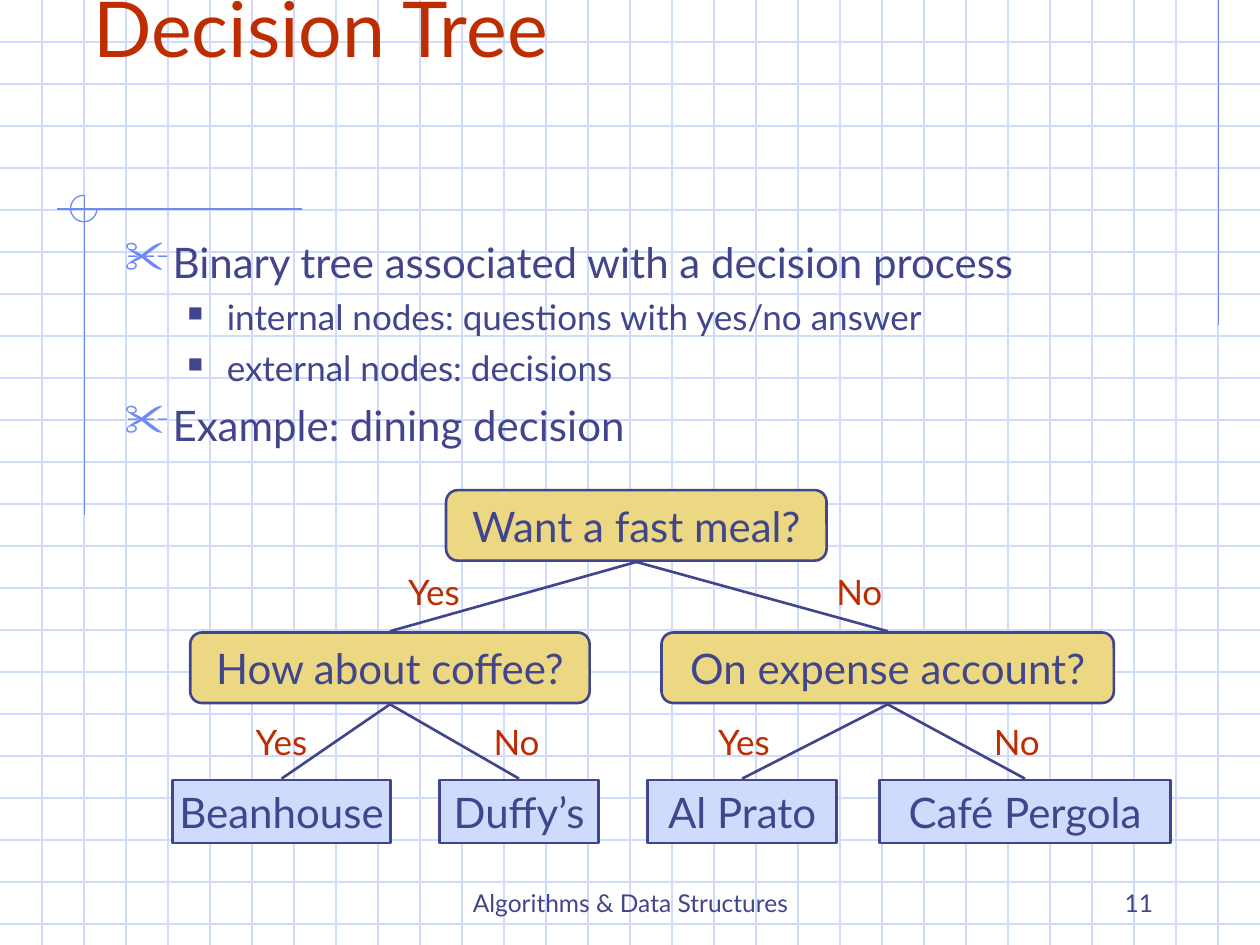
from lxml import etree
from pptx import Presentation, dml, util as u
from pptx.dml import color
from pptx.enum import shapes, text
from pptx.oxml import ns

KIND = shapes.MSO_SHAPE
ALIGN = text.PP_ALIGN
ANCHOR = text.MSO_ANCHOR


def rgb(code):
    return color.RGBColor.from_string(code)


class Deck:
    font = "Lato"
    ink = "40458C"
    red = "BE2D00"
    grid = "CFDBFD"
    blue = "6F89F7"
    gold = "ECD882"

    def __init__(self, show):
        self.slide = show.slides.add_slide(show.slide_layouts[6])
        self.items = self.slide.shapes

    def line(self, x1, y1, x2, y2, tint, width=0.75):
        link = self.items.add_connector(
            shapes.MSO_CONNECTOR.STRAIGHT, *map(u.Inches, (x1, y1, x2, y2)))
        link.line.color.rgb = rgb(tint)
        link.line.width = u.Pt(width)
        etree.SubElement(link._element.spPr, ns.qn("a:effectLst"))

    def shape(self, kind, box, fill, edge, width):
        item = self.items.add_shape(kind, *map(u.Inches, box))
        item.shadow.inherit = False
        if fill:
            item.fill.solid()
            item.fill.fore_color.rgb = rgb(fill)
        else:
            item.fill.background()
        item.line.color.rgb = rgb(edge)
        item.line.width = u.Pt(width)
        return item

    def arc(self, box, start, end):
        item = self.shape(KIND.ARC, box, None, self.blue, 0.75)
        for i, angle in enumerate((start, end)):
            item.adjustments[i] = angle * 0.6

    def style(self, par, size, tint, align=ALIGN.LEFT):
        par.alignment = align
        par.font.name = self.font
        par.font.size = u.Pt(size)
        par.font.color.rgb = rgb(tint)

    def frame(self, box, anchor=ANCHOR.TOP, wrap=True, inset=0.1):
        body = self.items.add_textbox(*map(u.Inches, box)).text_frame
        body.word_wrap = wrap
        body.vertical_anchor = anchor
        body.margin_left = body.margin_right = u.Inches(inset)
        return body

    def text(self, words, box, size, tint, align, anchor=ANCHOR.TOP,
             wrap=True, inset=0.1):
        par = self.frame(box, anchor, wrap, inset).paragraphs[0]
        par.text = words
        self.style(par, size, tint, align)

    def node(self, words, kind, box, fill):
        item = self.shape(kind, box, fill, self.ink, 1.5)
        body = item.text_frame
        body.word_wrap = False
        body.vertical_anchor = ANCHOR.MIDDLE
        par = body.paragraphs[0]
        par.text = words
        self.style(par, 24, self.ink, ALIGN.CENTER)

    def bullet(self, par, mark, tint, scale, left, hang):
        props = par._p.get_or_add_pPr()
        props.set("marL", str(u.Inches(left)))
        props.set("indent", str(-u.Inches(hang)))
        shade = etree.SubElement(props, ns.qn("a:buClr"))
        etree.SubElement(shade, ns.qn("a:srgbClr"), val=tint)
        etree.SubElement(props, ns.qn("a:buSzPct"), val=str(scale * 1000))
        etree.SubElement(props, ns.qn("a:buChar"), char=mark)

    def list(self, rows, box):
        body = self.frame(box, inset=0.07)
        for i, (level, words) in enumerate(rows):
            par = body.add_paragraph() if i else body.paragraphs[0]
            par.text = words
            par.level = level
            if level:
                self.bullet(par, "■", self.ink, 60, 0.81, 0.31)
            else:
                self.bullet(par, "✂", self.blue, 110, 0.38, 0.38)
            par.space_before = u.Pt((5 if level else 6) if i else 0)
            self.style(par, 20 if level else 24, self.ink)


def main():
    show = Presentation()
    show.slide_width, show.slide_height = u.Inches(10), u.Inches(7.5)
    deck = Deck(show)

    for i in range(1, 23):
        deck.line(0, i / 3, 10, i / 3, deck.grid)
    for i in range(1, 30):
        deck.line(i / 3, 0, i / 3, 7.5, deck.grid)
    for ends in ((9.67, 0, 9.67, 2.58), (2.4, 1.66, 0.45, 1.66),
                 (0.67, 1.55, 0.67, 4.09)):
        deck.line(*ends, deck.blue)
    deck.arc((0.56, 1.55, 0.21, 0.21), 0, 270)

    deck.text("Algorithms & Data Structures", (3.42, 6.83, 3.17, 0.5), 14,
              deck.ink, ALIGN.CENTER, ANCHOR.BOTTOM)
    deck.text("11", (7.17, 6.83, 2.08, 0.5), 14,
              deck.ink, ALIGN.RIGHT, ANCHOR.BOTTOM)
    deck.text("Decision Tree", (0.67, 0.13, 8.5, 0.5), 44,
              deck.red, ALIGN.LEFT, ANCHOR.BOTTOM, inset=0.07)
    deck.list([
        (0, "Binary tree associated with a decision process"),
        (1, "internal nodes: questions with yes/no answer"),
        (1, "external nodes: decisions"),
        (0, "Example: dining decision"),
    ], (0.92, 1.83, 8.5, 2))

    asks = [
        ("Want a fast meal?", 3.54, 3.89, 3.02),
        ("How about coffee?", 1.51, 5.02, 3.17),
        ("On expense account?", 5.25, 5.02, 3.59),
    ]
    picks = [
        ("Beanhouse", 1.37, 6.19, 1.73),
        ("Duffy’s", 3.49, 6.19, 1.26),
        ("Al Prato", 5.14, 6.19, 1.5),
        ("Café Pergola", 6.98, 6.19, 2.31),
    ]
    for words, x, y, w in asks:
        deck.node(words, KIND.ROUNDED_RECTANGLE, (x, y, w, 0.56), deck.gold)
    for words, x, y, w in picks:
        deck.node(words, KIND.RECTANGLE, (x, y, w, 0.5), deck.grid)

    tree = asks + picks
    for i, (_, x, y, w) in enumerate(tree[1:]):
        _, px, py, pw = tree[i // 2]
        deck.line(px + pw / 2, py + 0.57, x + w / 2, y - 0.01, deck.ink, 1.5)

    spots = [(3.12, 4.48), (6.53, 4.48), (1.91, 5.67),
             (3.81, 5.67), (5.58, 5.67), (7.78, 5.67)]
    for i, (x, y) in enumerate(spots):
        words, w = (("Yes", 0.65), ("No", 0.58))[i % 2]
        deck.text(words, (x, y, w, 0.44), 20, deck.red, ALIGN.CENTER,
                  wrap=False)

    show.save("out.pptx")


if __name__ == "__main__":
    main()
